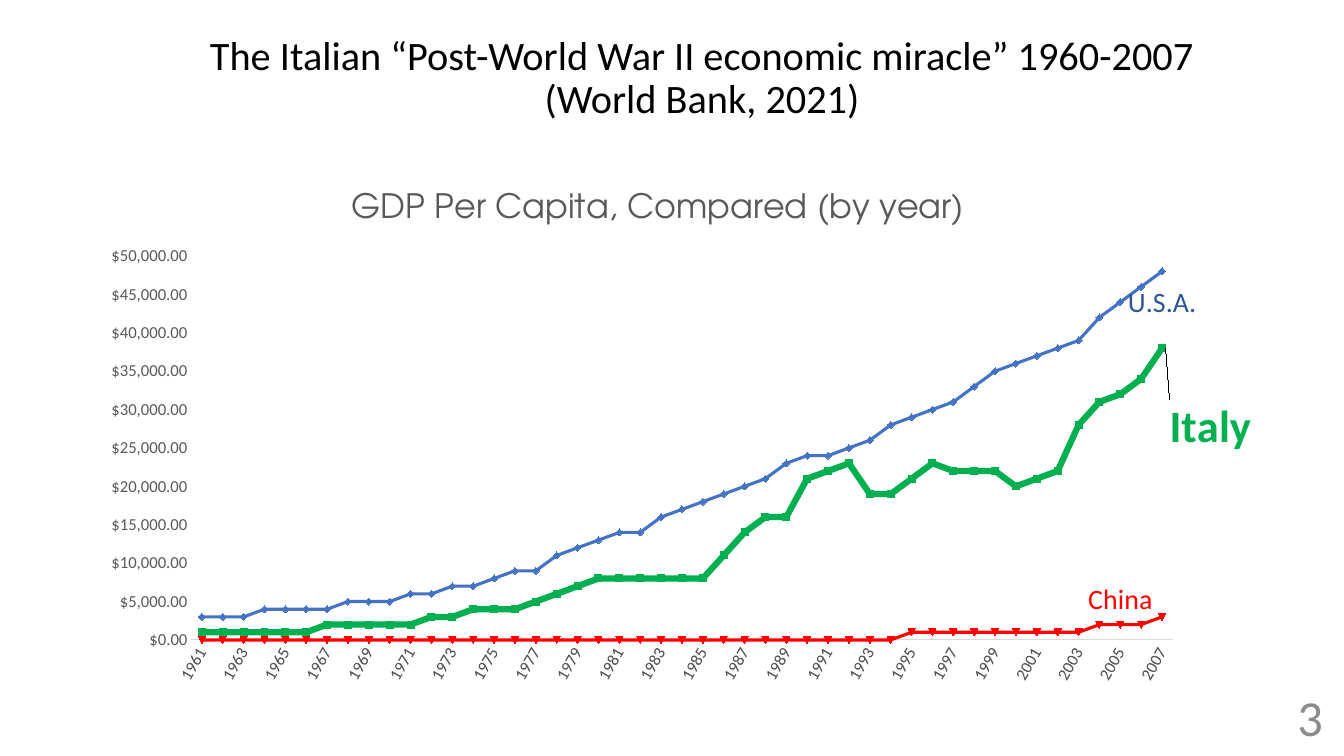
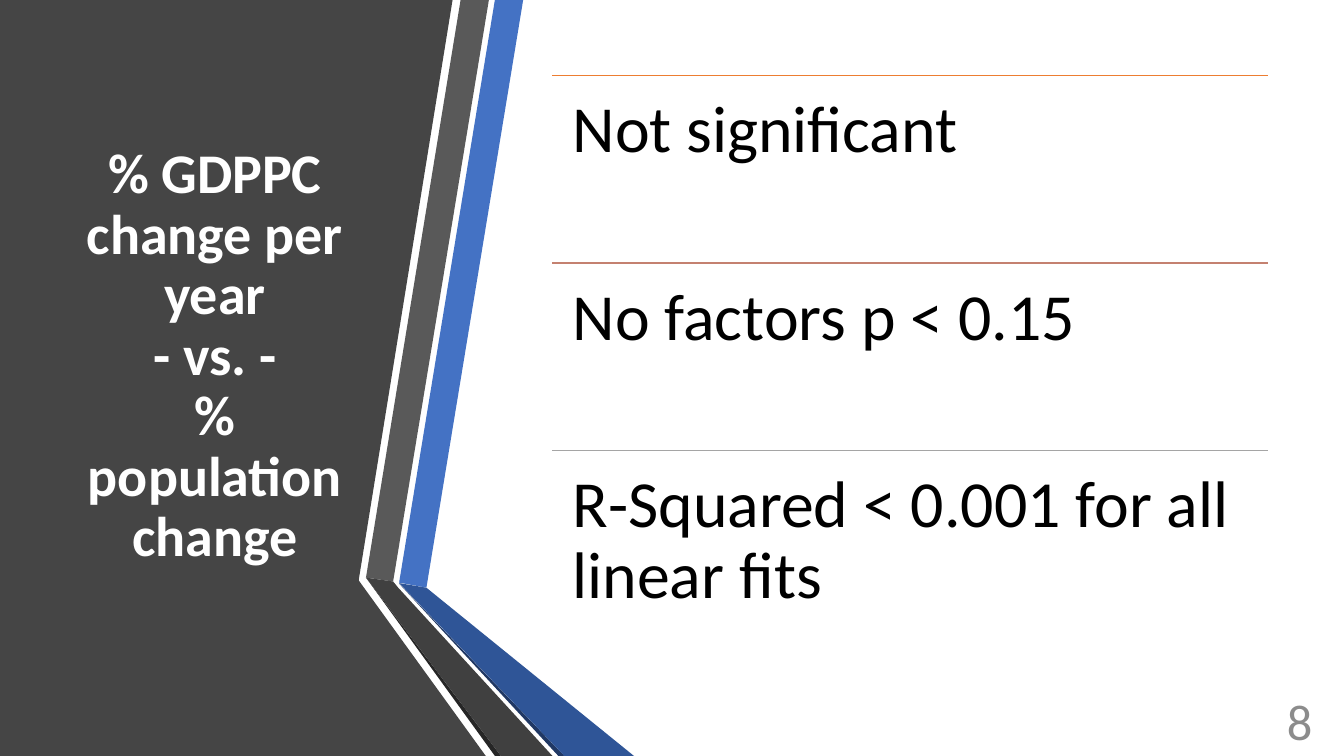
from lxml import etree
from pptx import Presentation
from pptx.chart.data import CategoryChartData
from pptx.dml.color import RGBColor
from pptx.enum.chart import XL_CHART_TYPE, XL_LABEL_POSITION, XL_TICK_MARK
from pptx.enum.shapes import MSO_CONNECTOR
from pptx.enum.text import MSO_ANCHOR, PP_ALIGN
from pptx.oxml.ns import qn
from pptx.util import Pt

FONT, TITLE_FONT = "Calibri", "TeX Gyre Adventor"
BLACK, WHITE, GREY, PAGE_GREY = "000000", "FFFFFF", "595959", "8C8C8C"
BLUE, DARK_BLUE, GREEN, RED = "4472C4", "2F5597", "00B050", "FF0000"
YEARS = range(1961, 2008)

# GDP per capita in thousands of dollars, one value per year
ITALY = [1, 1, 1, 1, 1, 1, 2, 2, 2, 2, 2, 3, 3, 4, 4, 4, 5, 6, 7, 8, 8, 8, 8, 8,
         8, 11, 14, 16, 16, 21, 22, 23, 19, 19, 21, 23, 22, 22, 22, 20, 21, 22,
         28, 31, 32, 34, 38]
USA = [3, 3, 3, 4, 4, 4, 4, 5, 5, 5, 6, 6, 7, 7, 8, 9, 9, 11, 12, 13, 14, 14, 16,
       17, 18, 19, 20, 21, 23, 24, 24, 25, 26, 28, 29, 30, 31, 33, 35, 36, 37, 38,
       39, 42, 44, 46, 48]
CHINA = [0] * 34 + [1] * 9 + [2] * 3 + [3]

# name, values, line colour, line width, label year, label colour, size, position
COUNTRIES = [
    ("Italy", ITALY, GREEN, 4.5, 2007, GREEN, 32, XL_LABEL_POSITION.RIGHT),
    ("U.S.A.", USA, BLUE, 2.25, 2005, DARK_BLUE, 20, XL_LABEL_POSITION.RIGHT),
    ("China", CHINA, RED, 2.25, 2005, RED, 20, XL_LABEL_POSITION.ABOVE),
]

# fill and outline of each part of the folded ribbon, relative to its box
RIBBON = [
    ("454545", [(0, 0), (323.3, 0), (256.3, 414), (256.3, 414.7), (347, 540), (0, 540)]),
    (BLUE, [(285.1, 416.2), (304.6, 419.8), (373.7, 0), (353.5, 0)]),
    (GREY, [(349.2, 0), (329, 0), (261.4, 412.6), (280.8, 415.4)]),
    ("262626", [(261.4, 412.6), (353.5, 540), (357.8, 540)]),
    ("203864", [(285.1, 416.9), (398.9, 540), (403.2, 540)]),
    (DARK_BLUE, [(285.1, 416.5), (403.2, 540), (452.9, 540), (304.6, 419.8)]),
    ("404040", [(394.6, 540), (284.4, 419.8), (280.8, 415.4), (261.4, 412.6), (357.8, 540)]),
]

FINDINGS = [
    ("Not significant", "ED7D31"),
    ("No factors p < 0.15", "C48170"),
    ("R-Squared < 0.001 for all linear fits", "A5A5A5"),
]


def rgb(color):
    """Turn a hex string into a colour."""
    return RGBColor.from_string(color)


def style_font(font, size, color, bold=False, name=FONT):
    """Set the face, size, colour and weight of a font."""
    font.name, font.size, font.bold = name, Pt(size), bold
    font.color.rgb = rgb(color)


def add_text(slide, box, text, size, color, align=PP_ALIGN.LEFT,
             anchor=MSO_ANCHOR.TOP, bold=False, spacing=0.9, inset=None):
    """Add a wrapped text box."""
    tf = slide.shapes.add_textbox(*map(Pt, box)).text_frame
    tf.word_wrap = True
    tf.vertical_anchor = anchor
    if inset is not None:
        tf.margin_left = tf.margin_right = tf.margin_top = tf.margin_bottom = Pt(inset)
    p = tf.paragraphs[0]
    p.text = text
    p.alignment, p.line_spacing = align, spacing
    for r in p.runs:
        style_font(r.font, size, color, bold)


def add_page_number(slide, box, number):
    """Add the page number at the right of its box."""
    add_text(slide, box, str(number), 36, PAGE_GREY, PP_ALIGN.RIGHT,
             MSO_ANCHOR.MIDDLE, spacing=1)


def set_layout(parent, index, inner=False, **fractions):
    """Place a chart part by fractions of the chart's size."""
    for old in parent.findall(qn("c:layout")):
        parent.remove(old)
    layout = etree.Element(qn("c:layout"))
    manual = etree.SubElement(layout, qn("c:manualLayout"))
    settings = {"layoutTarget": "inner", "xMode": "edge", "yMode": "edge"} if inner else {}
    for key, value in {**settings, **fractions}.items():
        etree.SubElement(manual, qn("c:" + key)).set("val", str(value))
    parent.insert(index, layout)


def style_axes(chart):
    """Style the dollar axis and the slanted year axis."""
    years, dollars = chart.category_axis, chart.value_axis
    for axis in (years, dollars):
        axis.has_major_gridlines = False
        axis.major_tick_mark = axis.minor_tick_mark = XL_TICK_MARK.NONE
        style_font(axis.tick_labels.font, 12, GREY)
    dollars.minimum_scale, dollars.maximum_scale, dollars.major_unit = 0, 50000, 5000
    dollars.tick_labels.number_format = '"$"#,##0.00'
    dollars.tick_labels.number_format_is_linked = False
    dollars.format.line.fill.background()
    years.format.line.color.rgb = rgb("D9D9D9")
    years.format.line.width = Pt(0.75)
    ax = years._element
    ax.find(qn("c:txPr")).find(qn("a:bodyPr")).set("rot", "-3600000")
    skip = etree.Element(qn("c:tickLblSkip"))
    skip.set("val", "2")
    ax.find(qn("c:noMultiLvlLbl")).addprevious(skip)


def style_series(series, country):
    """Style one country's line and name it at one point."""
    name, _, color, width, year, label_color, size, position = country
    series.smooth = False
    series.marker.style = None
    series.format.line.color.rgb = rgb(color)
    series.format.line.width = Pt(width)
    label = series.points[YEARS.index(year)].data_label
    label.text_frame.text = name
    style_font(label.text_frame.paragraphs[0].runs[0].font, size, label_color,
               bold=name == "Italy")
    label.position = position
    series.data_labels.show_value = False


def add_gdp_chart(slide, box):
    """Add the line chart of GDP per capita."""
    data = CategoryChartData(number_format='"$"#,##0.00')
    data.categories = [str(year) for year in YEARS]
    for name, values, *_ in COUNTRIES:
        data.add_series(name, [value * 1000 for value in values])
    chart = slide.shapes.add_chart(XL_CHART_TYPE.LINE, *map(Pt, box), data).chart
    chart.has_legend = False
    style_font(chart.font, 10, BLACK)
    title = chart.chart_title
    title.text_frame.text = "GDP Per Capita, Compared (by year)"
    style_font(title.text_frame.paragraphs[0].runs[0].font, 24, GREY, name=TITLE_FONT)
    set_layout(title._element, 1, xMode="edge", yMode="edge", x=0.22, y=0.03)
    plot = chart.plots[0]
    plot.vary_by_categories = False
    style_axes(chart)
    for series, country in zip(plot.series, COUNTRIES):
        style_series(series, country)
    set_layout(plot._element.getparent(), 0, inner=True, x=0.086, y=0.168, w=0.852, h=0.727)
    italy_label = plot.series[0]._element.find(qn("c:dLbls")).find(qn("c:dLbl"))
    set_layout(italy_label, 1, x=0, y=0.15)


def add_ribbon(slide, left, top):
    """Draw the dark panel and the folded ribbon beside it."""
    for color, points in RIBBON:
        start, *rest = [(Pt(left + x), Pt(top + y)) for x, y in points]
        builder = slide.shapes.build_freeform(*start)
        builder.add_line_segments(rest, close=True)
        sp = builder.convert_to_shape()
        sp.shadow.inherit = False
        sp.fill.solid()
        sp.fill.fore_color.rgb = rgb(color)
        sp.line.fill.background()


def add_findings(slide, box):
    """Stack the findings in equal rows, each under a coloured rule."""
    left, top, width, height = box
    row = height / len(FINDINGS)
    for i, (text, color) in enumerate(FINDINGS):
        y = top + i * row
        rule = slide.shapes.add_connector(
            MSO_CONNECTOR.STRAIGHT, Pt(left), Pt(y), Pt(left + width), Pt(y))
        rule.line.color.rgb = rgb(color)
        rule.line.width = Pt(1)
        etree.SubElement(rule._element.spPr, qn("a:effectLst"))
        add_text(slide, (left, y, width, row), text, 47, BLACK, inset=14.4)


def build_chart_slide(slide):
    """Build the slide that compares GDP per capita."""
    add_text(slide, (92, 44, 819, 47),
             "The Italian “Post-World War II economic miracle” 1960-2007\v(World Bank, 2021)",
             28.8, BLACK, PP_ALIGN.CENTER, MSO_ANCHOR.BOTTOM)
    add_gdp_chart(slide, (66, 119.5, 828, 377.3))
    add_page_number(slide, (736, 497, 216, 29), 3)


def build_findings_slide(slide):
    """Build the slide that lists the findings beside the ribbon."""
    add_ribbon(slide, 0, 0)
    add_text(slide, (42.5, 54, 222, 402),
             "% GDPPC change per year\v- vs. -\v% population change",
             40, WHITE, PP_ALIGN.CENTER, MSO_ANCHOR.MIDDLE, bold=True)
    add_findings(slide, (394.6, 54, 511.2, 402))
    add_page_number(slide, (728.6, 500, 216, 29), 8)


prs = Presentation()
prs.slide_width, prs.slide_height = Pt(960), Pt(540)
for build in (build_chart_slide, build_findings_slide):
    build(prs.slides.add_slide(prs.slide_layouts[6]))
prs.save("out.pptx")
